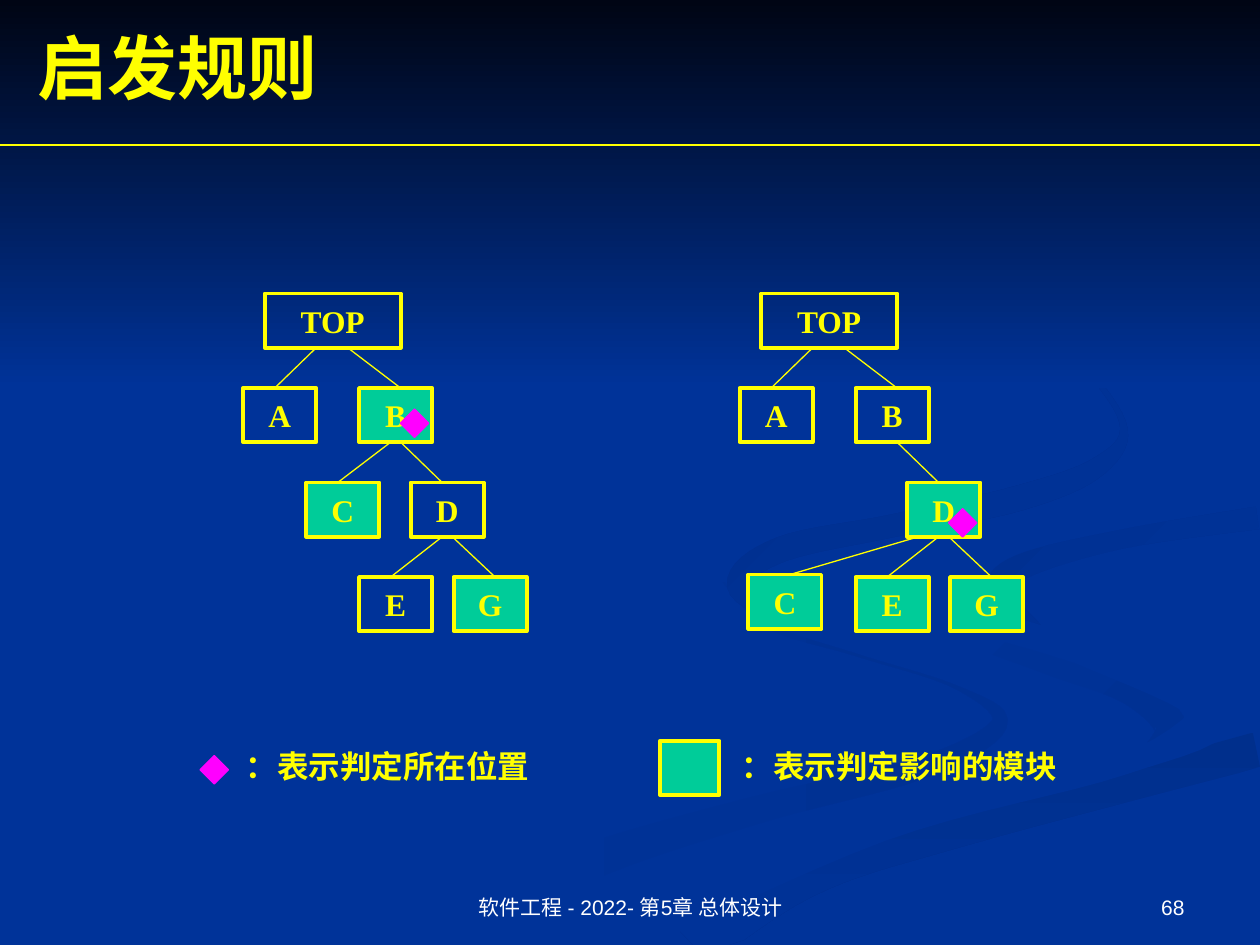
import math

import pptx
import pptx.dml.color
import pptx.enum.shapes
import pptx.enum.text
import pptx.oxml
import pptx.oxml.ns
import pptx.util
from pptx.util import Inches

YELLOW = "FFFF00"
GREEN = "00CC99"
MAGENTA = "FF00FF"
WHITE = "FFFFFF"
BLUE = "003399"
SERIF = "Times New Roman"
ALIGN = pptx.enum.text.PP_ALIGN
ANCHOR = pptx.enum.text.MSO_ANCHOR

SLIDE_WIDTH, SLIDE_HEIGHT = 10, 7.5
MODULE_WIDTH, TOP_WIDTH, MODULE_HEIGHT = 0.58, 1.08, 0.43
MARKER_SIZE = 0.16
ROWS = [2.33 + 0.75 * row for row in range(4)]
RIGHT_TREE_OFFSET = 3.94

SHARED_MODULES = {"TOP": (2.1, ROWS[0]), "A": (1.93, ROWS[1]), "B": (2.85, ROWS[1]),
                  "D": (3.26, ROWS[2]), "E": (2.85, ROWS[3]), "G": (3.6, ROWS[3])}
# SHIFTS
SHARED_EDGES = {("TOP", "A"): (-0.13, -0.04), ("TOP", "B"): (0.12, 0.04),
                ("B", "D"): (0.04, -0.04),
                ("D", "E"): (-0.04, -0.04), ("D", "G"): (0.04, 0.04)}


def color(value):
    return pptx.dml.color.RGBColor.from_string(value)


def smooth(before, start, end, after, t):
    return tuple(0.5 * (2 * b + (c - a) * t + (2 * a - 5 * b + 4 * c - d) * t ** 2
                        + (3 * b - a - 3 * c + d) * t ** 3)
                 for a, b, c, d in zip(before, start, end, after))


def ribbon_outline(stations, steps=8):
    padded = [stations[0], *stations, stations[-1]]
    spine = [smooth(*padded[index:index + 4], step / steps)
             for index in range(len(stations) - 1) for step in range(steps)]
    spine.append(stations[-1])
    left_side, right_side = [], []
    for index, (x, y, width) in enumerate(spine):
        behind, ahead = spine[max(index - 1, 0)], spine[min(index + 1, len(spine) - 1)]
        normal = math.atan2(ahead[1] - behind[1], ahead[0] - behind[0]) + math.pi / 2
        half = max(width, 0) / 2
        for side, reach in ((left_side, half), (right_side, -half)):
            side.append((min(x + reach * math.cos(normal), SLIDE_WIDTH),
                         min(y + reach * math.sin(normal), SLIDE_HEIGHT)))
    return left_side + right_side[::-1]


def fill_gradient(shape, start, end, angle):
    shape.fill.gradient()
    shape.fill.gradient_angle = (360 - angle) % 360
    for stop, value in zip(shape.fill.gradient_stops, (start, end)):
        stop.color.rgb = color(value)


def add_outline(slide, points, start, end, angle):
    corners = [(Inches(x), Inches(y)) for x, y in points]
    builder = slide.shapes.build_freeform(*corners[0], scale=1.0)
    builder.add_line_segments(corners[1:], close=True)
    shape = builder.convert_to_shape()
    shape.shadow.inherit = False
    shape.line.fill.background()
    fill_gradient(shape, start, end, angle)


def add_ribbon(slide, stations, start=BLUE, end=BLUE, angle=45):
    add_outline(slide, ribbon_outline(stations), start, end, angle)


def add_backdrop(slide):
    slide.background.fill.solid()
    slide.background.fill.fore_color.rgb = color(BLUE)
    lower_left = [(5.74, 4.62, 0.01), (6.1, 4.97, 0.04), (6.8, 5.2, 0.02),
                  (7.6, 5.46, 0.03), (7.93, 5.75, 0.13), (7.3, 6.1, 0.17),
                  (6, 6.43, 0.22), (4.6, 6.87, 0.3), (3.3, 7.49, 0.5)]
    inner_bend = [(7.24, 4.64, 0), (7.5, 4.98, 0.08), (8.3, 5.27, 0.15),
                  (8.95, 5.5, 0.17), (9.29, 5.78, 0.25), (8.98, 6.05, 0)]
    bottom_sweep = [(5.37, 7.49, 0.6), (6.4, 7, 0.25), (7.6, 6.6, 0.25), (9.98, 5.95, 0.28)]
    main_bend = [(9.99, 3.95, 0.15), (8.5, 4.18, 0.15), (7.55, 4.6, 0.5), (8.5, 5.14, 0.2),
                 (9.62, 5.6, 0.38), (8.9, 6.08, 0.15), (7, 6.62, 0.12), (4.9, 7.49, 0.25)]
    right_bend = [(9.98, 4.11, 0.18), (8.9, 4.28, 0.15), (8.1, 4.5, 0.2),
                  (7.94, 4.72, 0.2), (8.26, 4.96, 0)]
    upper_bend = [(7.62, 2.33, 0), (8.44, 2.77, 0.04), (8.91, 3.35, 0.05),
                  (8.72, 3.7, 0.15), (8.1, 3.95, 0.2), (7.1, 4.17, 0.18),
                  (6.2, 4.36, 0.2), (5.85, 4.65, 0.16), (6.2, 4.98, 0)]
    add_ribbon(slide, lower_left, end="003193", angle=0)
    add_ribbon(slide, inner_bend, end="003193")
    add_ribbon(slide, bottom_sweep, start="002F8C", angle=90)
    add_ribbon(slide, main_bend)
    add_ribbon(slide, right_bend, start="003091")
    add_ribbon(slide, upper_bend, start="002F8E")
    shade = add_box(slide.shapes, 0, 0, SLIDE_WIDTH, 3.08)
    shade.line.fill.background()
    fill_gradient(shade, "000514", BLUE, 90)


def write_text(shape, text, size=18, font=SERIF, fill=YELLOW, bold=True,
               align=ALIGN.LEFT, anchor=ANCHOR.TOP):
    frame = shape.text_frame
    frame.word_wrap = True
    frame.vertical_anchor = anchor
    paragraph = frame.paragraphs[0]
    paragraph.alignment = align
    run = paragraph.add_run()
    run.text = text
    run.font.size = pptx.util.Pt(size)
    run.font.name = font
    run.font.bold = bold
    run.font.color.rgb = color(fill)


def add_label(slide, left, top, width, height, text, **style):
    box = slide.shapes.add_textbox(Inches(left), Inches(top), Inches(width), Inches(height))
    write_text(box, text, **style)


def add_box(shapes, left, top, width, height, fill=None, line=YELLOW, weight=2.25):
    shape = shapes.add_shape(pptx.enum.shapes.MSO_SHAPE.RECTANGLE, Inches(left), Inches(top),
                             Inches(width), Inches(height))
    shape.shadow.inherit = False
    if fill:
        shape.fill.solid()
        shape.fill.fore_color.rgb = color(fill)
    else:
        shape.fill.background()
    shape.line.color.rgb = color(line)
    shape.line.width = pptx.util.Pt(weight)
    return shape


def add_decision_marker(shapes, left, top):
    marker = add_box(shapes, left, top, MARKER_SIZE, MARKER_SIZE, MAGENTA, MAGENTA, 0.75)
    marker.rotation = 45


def add_line(shapes, *ends):
    line = shapes.add_connector(pptx.enum.shapes.MSO_CONNECTOR.STRAIGHT,
                                *[Inches(end) for end in ends])
    line.line.color.rgb = color(YELLOW)
    line.line.width = pptx.util.Pt(0.75)
    effects = pptx.oxml.parse_xml("<a:effectLst %s/>" % pptx.oxml.ns.nsdecls("a"))
    line._element.spPr.append(effects)


def module_width(name):
    return TOP_WIDTH if name == "TOP" else MODULE_WIDTH


def add_tree(slide, offset, own_modules, own_edges, affected, marker):
    shapes = slide.shapes.add_group_shape().shapes
    modules = {name: (left + offset, top)
               for name, (left, top) in {**SHARED_MODULES, **own_modules}.items()}
    centers = {name: left + module_width(name) / 2 for name, (left, top) in modules.items()}
    for (parent, child), (start_shift, end_shift) in {**SHARED_EDGES, **own_edges}.items():
        add_line(shapes, centers[parent] + start_shift, modules[parent][1] + MODULE_HEIGHT,
                 centers[child] + end_shift, modules[child][1])
    for name, (left, top) in modules.items():
        box = add_box(shapes, left, top, module_width(name), MODULE_HEIGHT,
                      fill=GREEN if name in affected else None)
        write_text(box, name, align=ALIGN.CENTER, anchor=ANCHOR.MIDDLE)
    add_decision_marker(shapes, marker[0] + offset, marker[1])


def add_legend(slide):
    add_decision_marker(slide.shapes, 1.62, 6.03)
    add_label(slide, 1.85, 5.88, 2.52, 0.4, "：表示判定所在位置")
    add_box(slide.shapes, 5.24, 5.88, 0.47, MODULE_HEIGHT, fill=GREEN)
    add_label(slide, 5.79, 5.88, 2.84, 0.4, "：表示判定影响的模块")


def main():
    presentation = pptx.Presentation()
    presentation.slide_width = Inches(SLIDE_WIDTH)
    presentation.slide_height = Inches(SLIDE_HEIGHT)
    slide = presentation.slides.add_slide(presentation.slide_layouts[6])
    add_backdrop(slide)
    add_label(slide, 0.2, 0.14, 9.8, 0.77, "启发规则", size=40, anchor=ANCHOR.MIDDLE)
    add_line(slide.shapes, 0, 1.15, SLIDE_WIDTH, 1.15)
    add_tree(slide, 0, {"C": (2.43, ROWS[2])}, {("B", "C"): (-0.04, -0.04)},
             affected="BCG", marker=(3.21, 3.28))
    add_tree(slide, RIGHT_TREE_OFFSET, {"C": (2, 4.56)}, {("D", "C"): (-0.2, 0.04)},
             affected="CDEG", marker=(3.62, 4.07))
    add_legend(slide)
    footer = dict(size=12, font="Arial", fill=WHITE, bold=False, anchor=ANCHOR.BOTTOM)
    add_label(slide, 3.42, 6.83, 3.17, 0.52, "软件工程 - 2022- 第5章 总体设计",
              align=ALIGN.CENTER, **footer)
    add_label(slide, 7.17, 6.83, 2.33, 0.52, "68", align=ALIGN.RIGHT, **footer)
    presentation.save("out.pptx")


if __name__ == "__main__":
    main()
